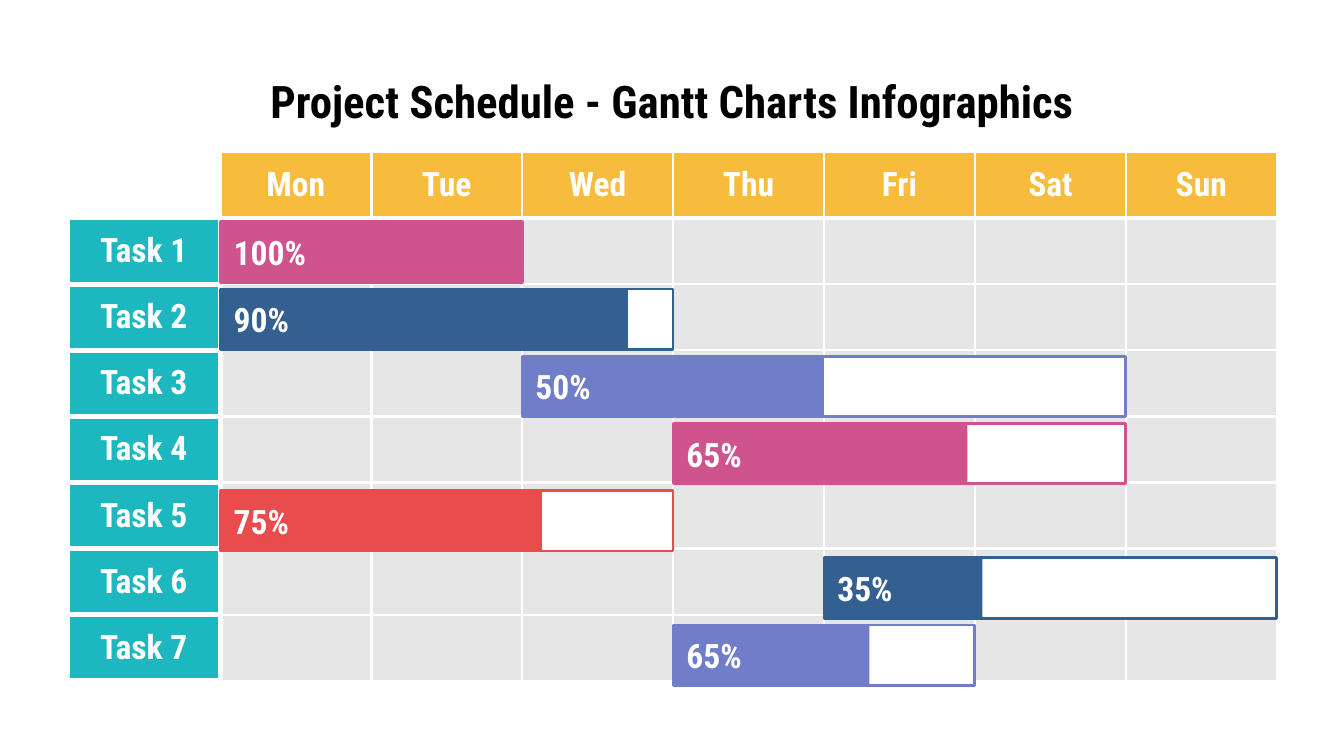
from lxml import etree
from pptx import Presentation
from pptx.dml.color import RGBColor
from pptx.enum.shapes import MSO_SHAPE
from pptx.enum.text import MSO_ANCHOR, PP_ALIGN
from pptx.oxml.ns import qn
from pptx.util import Inches, Pt

RECT = MSO_SHAPE.RECTANGLE
MIDDLE = MSO_ANCHOR.MIDDLE
LEFT, CENTER = PP_ALIGN.LEFT, PP_ALIGN.CENTER

FONT = "Roboto Condensed"
COLORS = {
    "black": "000000", "white": "FFFFFF", "grey": "E6E6E6",
    "gold": "F7BB3D", "teal": "1DB7C0", "pink": "CF548E",
    "navy": "346091", "violet": "707DC9", "red": "E94C4C",
}

TITLE = "Project Schedule - Gantt Charts Infographics"
DAYS = ["Mon", "Tue", "Wed", "Thu", "Fri", "Sat", "Sun"]
# task, first day, days, label, share filled, colour
TASKS = [
    ("Task 1", 0, 2, "100%", 1, "pink"),
    ("Task 2", 0, 3, "90%", 0.9, "navy"),
    ("Task 3", 2, 4, "50%", 0.5, "violet"),
    ("Task 4", 3, 3, "65%", 0.65, "pink"),
    ("Task 5", 0, 3, "75%", 0.71, "red"),
    ("Task 6", 4, 3, "35%", 0.35, "navy"),
    ("Task 7", 3, 2, "65%", 0.65, "violet"),
]

WIDTH = 10
HEIGHT = WIDTH * 9 / 16
MARGIN = 0.5
SPAN = WIDTH - 2 * MARGIN
TOP = 1.13
HEAD = 1.14
DAY = (SPAN - HEAD) / len(DAYS)
ROW = 3.94 / (len(TASKS) + 1)
BAR_TOP, BAR_STEP, BAR_HIGH = 1.65, 0.5, 0.45
INSET = 0.1
THIN, THICK = 1.5, 3


def rgb(name):
    return RGBColor.from_string(COLORS[name])


def write(frame, text, size, color, align):
    frame.word_wrap = True
    para = frame.paragraphs[0]
    para.text = text
    para.alignment = align
    font = para.font
    font.name, font.size, font.bold = FONT, Pt(size), True
    font.color.rgb = rgb(color)


def edge(cell, widths):
    """Draw white borders; widths are points for left, right, top, bottom."""
    props = cell._tc.get_or_add_tcPr()
    for side, width in zip("LRTB", widths):
        line = etree.SubElement(props, qn(f"a:ln{side}"), w=str(Pt(width)))
        fill = etree.SubElement(line, qn("a:solidFill"))
        etree.SubElement(fill, qn("a:srgbClr"), val=COLORS["white"])


def add_grid(slide):
    rows, cols = len(TASKS) + 1, len(DAYS) + 1
    table = slide.shapes.add_table(
        rows, cols, Inches(MARGIN), Inches(TOP),
        Inches(SPAN), Inches(ROW * rows)).table
    table.first_row = table.horz_banding = False
    for c, col in enumerate(table.columns):
        col.width = Inches(DAY if c else HEAD)
    for r, row in enumerate(table.rows):
        row.height = Inches(ROW)
        for c, cell in enumerate(row.cells):
            task = r > 0 and c == 0
            edge(cell, (
                THICK if r and c < 2 else THIN,
                THICK if task else THIN,
                THICK if task or r == 1 else THIN,
                THICK if task or r == 0 else THIN))
            cell.vertical_anchor = MIDDLE
            if r and c:
                text, color = "", "grey"
            elif r:
                text, color = TASKS[r - 1][0], "teal"
            elif c:
                text, color = DAYS[c - 1], "gold"
            else:
                cell.fill.background()
                continue
            cell.fill.solid()
            cell.fill.fore_color.rgb = rgb(color)
            if text:
                write(cell.text_frame, text, 18, "white", CENTER)


def add_bar(slide, left, top, width, color):
    bar = slide.shapes.add_shape(
        RECT, Inches(left), Inches(top), Inches(width), Inches(BAR_HIGH))
    bar.shadow.inherit = False
    bar.fill.solid()
    bar.fill.fore_color.rgb = rgb(color)
    bar.line.fill.background()
    return bar


def add_bars(slide):
    for i, (_, start, days, label, share, color) in enumerate(TASKS):
        left = MARGIN + HEAD + start * DAY
        top = BAR_TOP + i * BAR_STEP
        whole = add_bar(slide, left, top, days * DAY, "white")
        whole.line.color.rgb = rgb(color)
        whole.line.width = Pt(THIN)
        done = add_bar(slide, left, top, days * DAY * share, color)
        frame = done.text_frame
        frame.vertical_anchor = MIDDLE
        write(frame, label, 18, "white", LEFT)


def main():
    deck = Presentation()
    deck.slide_width, deck.slide_height = Inches(WIDTH), Inches(HEIGHT)
    slide = deck.slides.add_slide(deck.slide_layouts[6])
    title = slide.shapes.add_textbox(
        Inches(MARGIN), Inches(0.45), Inches(SPAN), Inches(0.63))
    title.text_frame.margin_top = Inches(INSET)
    write(title.text_frame, TITLE, 24, "black", CENTER)
    add_grid(slide)
    add_bars(slide)
    deck.save("out.pptx")


if __name__ == "__main__":
    main()
